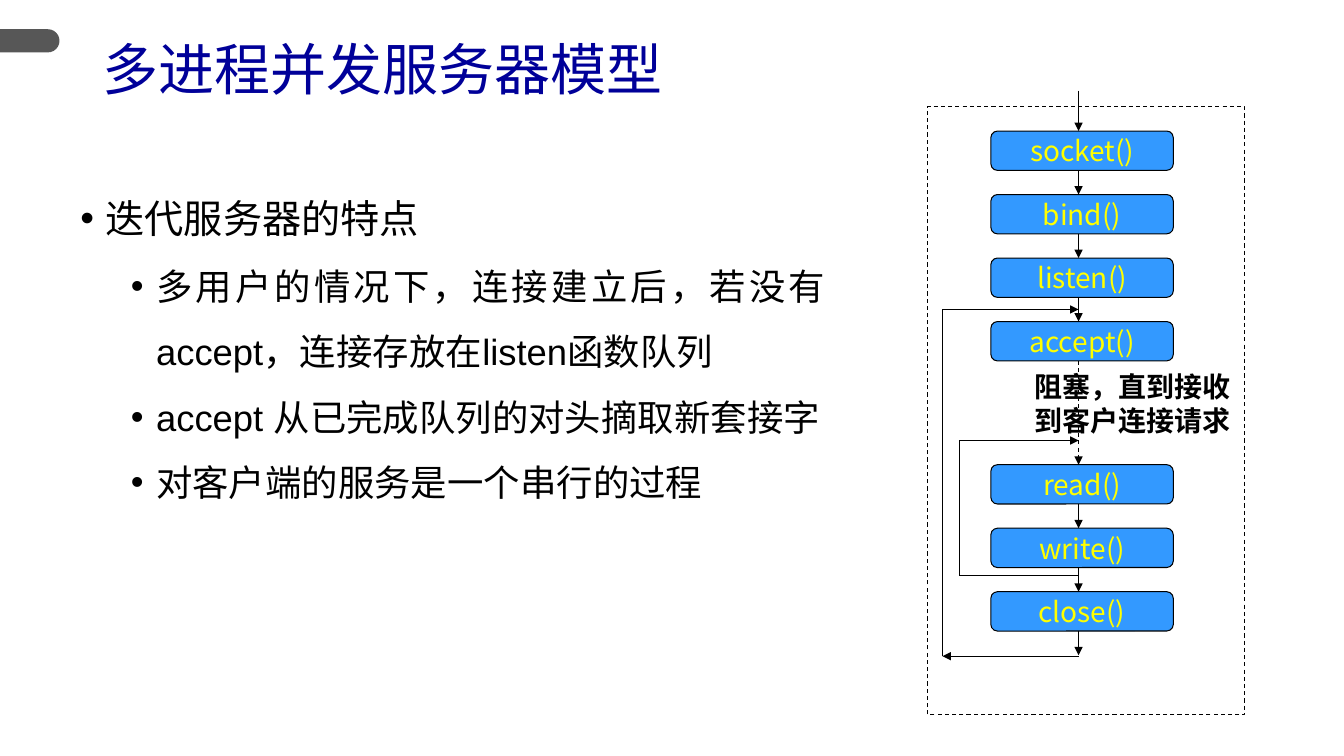
import pptx
import pptx.dml.color
import pptx.enum.dml
import pptx.enum.shapes
import pptx.enum.text
import pptx.oxml
import pptx.oxml.ns
import pptx.util

RGBColor = pptx.dml.color.RGBColor
Shapes = pptx.enum.shapes.MSO_SHAPE
Align = pptx.enum.text.PP_ALIGN
Anchor = pptx.enum.text.MSO_ANCHOR

BLACK = RGBColor(0x00, 0x00, 0x00)
NAVY = RGBColor(0x00, 0x00, 0x99)
BLUE = RGBColor(0x33, 0x99, 0xFF)
YELLOW = RGBColor(0xFF, 0xFF, 0x00)
GREY = RGBColor(0x57, 0x57, 0x57)

LATIN_FONT = "Arial"
CHINESE_FONT = "Noto Sans CJK SC"

# The slide is a grid of square cells, ten to the inch.
COLUMNS, ROWS = 133.33, 75
CELL = pptx.util.Inches(0.1)

# Flow chart, in columns and rows
AXIS = 107
BOX_LEFT, BOX_WIDTH, BOX_HEIGHT = 98.3, 18.1, 3.9
STEP = 6.3
SETUP_TOP, SERVICE_TOP = 13, 46.1
SETUP_CALLS = ["socket()", "bind()", "listen()", "accept()"]
SERVICE_CALLS = ["read()", "write()", "close()"]

BODY = [
    (0, "迭代服务器的特点"),
    (1, "多用户的情况下，连接建立后，若没有accept，连接存放在listen函数队列"),
    (1, "accept 从已完成队列的对头摘取新套接字"),
    (1, "对客户端的服务是一个串行的过程"),
]


def cells(*counts):
    return [round(count * CELL) for count in counts]


def add_xml(parent, tag, **attributes):
    element = pptx.oxml.parse_xml(f"<{tag} {pptx.oxml.ns.nsdecls('a')}/>")
    for name, value in attributes.items():
        element.set(name, value)
    parent.append(element)


class FlowSlide:
    def __init__(self, presentation):
        self.slide = presentation.slides.add_slide(presentation.slide_layouts[5])
        self.shapes = self.slide.shapes

    def style(self, paragraph, size, color, font=LATIN_FONT, bold=False):
        paragraph.font.size = pptx.util.Pt(size)
        paragraph.font.bold = bold
        paragraph.font.color.rgb = color
        paragraph.font.name = font
        defaults = paragraph._p.pPr.find(pptx.oxml.ns.qn("a:defRPr"))
        add_xml(defaults, "a:ea", typeface=CHINESE_FONT)

    def outline(self, line, dashed=False):
        line.color.rgb = BLACK
        line.width = pptx.util.Pt(0.75)
        if dashed:
            line.dash_style = pptx.enum.dml.MSO_LINE.DASH

    def title(self, text, *place):
        title = self.shapes.title
        title.left, title.top, title.width, title.height = cells(*place)
        title.text_frame.text = text
        title.text_frame.vertical_anchor = Anchor.MIDDLE
        paragraph = title.text_frame.paragraphs[0]
        paragraph.alignment = Align.LEFT
        paragraph.line_spacing = 0.9
        self.style(paragraph, 40, NAVY)

    def shape(self, kind, *place, fill=None):
        shape = self.shapes.add_shape(kind, *cells(*place))
        shape.shadow.inherit = False
        if fill is None:
            shape.fill.background()
        else:
            shape.fill.solid()
            shape.fill.fore_color.rgb = fill
        return shape

    def side_tab(self, width, height, middle):
        """Draw a bar from the left edge of the slide with a rounded right end."""
        tab = self.shape(Shapes.ROUND_2_SAME_RECTANGLE, (width - height) / 2,
                         middle - width / 2, height, width, fill=GREY)
        tab.rotation = 90
        tab.adjustments[0] = 0.5
        tab.line.fill.background()

    def frame(self, *place):
        self.outline(self.shape(Shapes.RECTANGLE, *place).line, dashed=True)

    def call_box(self, text, top):
        box = self.shape(Shapes.ROUNDED_RECTANGLE, BOX_LEFT, top,
                         BOX_WIDTH, BOX_HEIGHT, fill=BLUE)
        self.outline(box.line)
        box.text_frame.text = text
        box.text_frame.word_wrap = False
        box.text_frame.vertical_anchor = Anchor.MIDDLE
        paragraph = box.text_frame.paragraphs[0]
        paragraph.alignment = Align.CENTER
        self.style(paragraph, 20, YELLOW, CHINESE_FONT)

    def text(self, lines, *place, wrap):
        """Add a text box and return its paragraphs, one for each line."""
        frame = self.shapes.add_textbox(*cells(*place)).text_frame
        frame.text = "\n".join(lines)
        frame.word_wrap = wrap
        return frame.paragraphs

    def bullets(self, items, *place):
        paragraphs = self.text([text for _, text in items], *place, wrap=True)
        for paragraph, (level, _) in zip(paragraphs, items):
            paragraph.level = level
            paragraph.alignment = Align.JUSTIFY
            paragraph.line_spacing = 1.5
            properties = paragraph._p.get_or_add_pPr()
            properties.set("marL", str(pptx.util.Inches(0.25 + 0.5 * level)))
            properties.set("indent", str(pptx.util.Inches(-0.25)))
            add_xml(properties, "a:buFont", typeface=LATIN_FONT)
            add_xml(properties, "a:buChar", char="•")
            self.style(paragraph, 28 - 2 * level, BLACK)

    def note(self, lines, *place):
        for paragraph in self.text(lines, *place, wrap=False):
            self.style(paragraph, 20, BLACK, CHINESE_FONT, bold=True)

    def line(self, start, end, arrow=True, dashed=False):
        connector = self.shapes.add_connector(
            pptx.enum.shapes.MSO_CONNECTOR.STRAIGHT, *cells(*start, *end))
        self.outline(connector.line, dashed)
        if arrow:
            add_xml(connector.line._get_or_add_ln(), "a:tailEnd", type="triangle")
        add_xml(connector._element.spPr, "a:effectLst")

    def down_arrow(self, top, bottom, dashed=False):
        self.line((AXIS, top), (AXIS, bottom), dashed=dashed)

    def route(self, *points):
        """Join the points by lines, with an arrowhead at the last point."""
        for start, end in zip(points, points[1:]):
            self.line(start, end, arrow=end == points[-1])

    def call_column(self, calls, top):
        """Stack boxes joined by arrows; return the bottom of the last box."""
        tops = [top + STEP * index for index in range(len(calls))]
        for call, box_top in zip(calls, tops):
            self.call_box(call, box_top)
        for box_top, next_top in zip(tops, tops[1:]):
            self.down_arrow(box_top + BOX_HEIGHT, next_top)
        return tops[-1] + BOX_HEIGHT


def main():
    presentation = pptx.Presentation()
    presentation.slide_width, presentation.slide_height = cells(COLUMNS, ROWS)
    slide = FlowSlide(presentation)

    slide.side_tab(5.9, 2.3, middle=4.05)
    slide.title("多进程并发服务器模型", 9.2, 2.9, 103.2, 8.6)
    slide.bullets(BODY, 7, 16.5, 75.9, 47.6)

    slide.frame(92, 10.6, 31.5, 60.3)
    setup_bottom = slide.call_column(SETUP_CALLS, SETUP_TOP)
    service_bottom = slide.call_column(SERVICE_CALLS, SERVICE_TOP)
    slide.down_arrow(9, SETUP_TOP)
    slide.down_arrow(setup_bottom, SERVICE_TOP, dashed=True)
    slide.down_arrow(service_bottom, 65)

    slide.route((AXIS, 57.1), (95.2, 57.1), (95.2, 43.7), (AXIS, 43.7))
    slide.route((AXIS, 65.1), (93.5, 65.1))
    slide.route((93.5, 65.1), (93.5, 30.7), (AXIS, 30.7))
    slide.note(["阻塞，直到接收", "到客户连接请求"], 101.6, 36.2, 21.7, 7.7)

    presentation.save("out.pptx")


if __name__ == "__main__":
    main()
